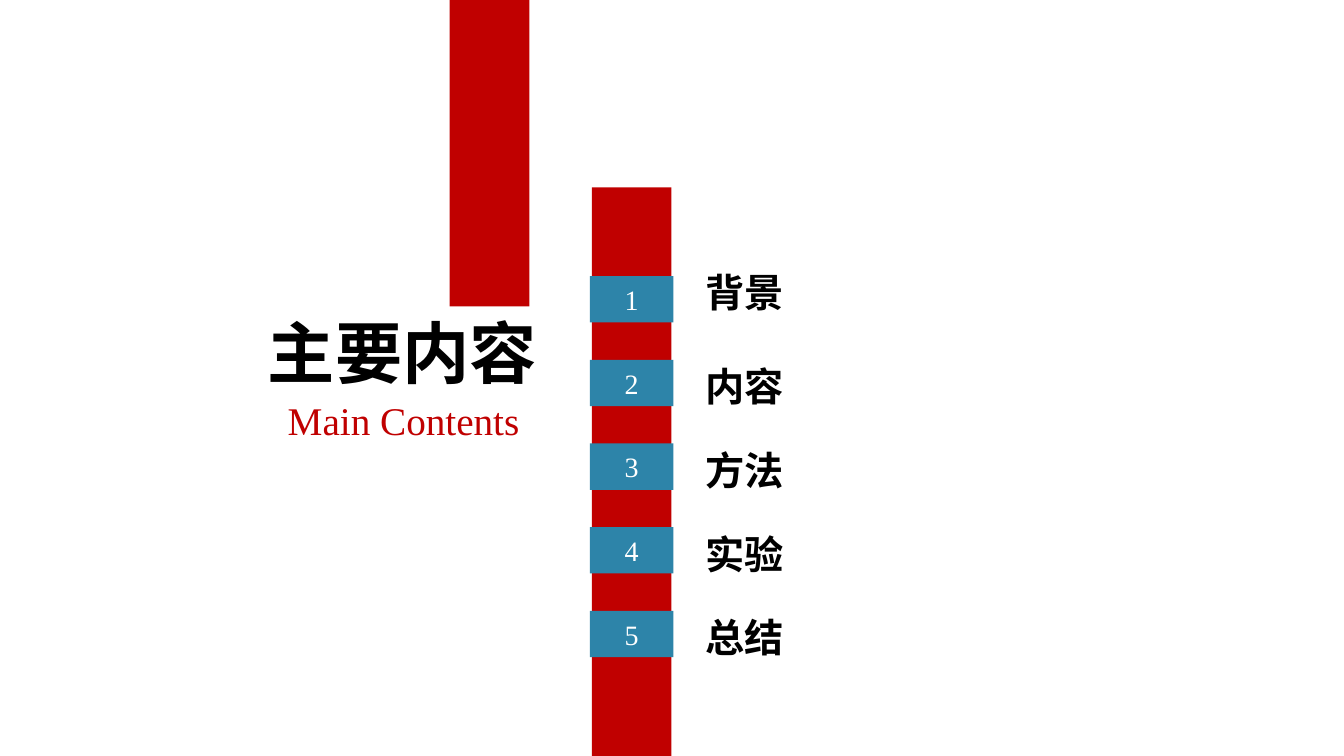
from dataclasses import dataclass

from pptx import Presentation
from pptx import util as u
from pptx.dml.color import RGBColor
from pptx.enum import lang, shapes, text


@dataclass(frozen=True)
class Theme:
    font: str = "Times New Roman"
    red: str = "C00000"
    blue: str = "2D84A9"
    black: str = "000000"
    white: str = "FFFFFF"
    title_size: int = 48
    heading_size: int = 28
    number_size: int = 20


class SlideBuilder:
    def __init__(self, slide, theme):
        self.slide = slide
        self.theme = theme

    def add_run(self, paragraph, words, size, color, bold=False):
        run = paragraph.add_run()
        run.text = words
        run.font.name = self.theme.font
        run.font.size = u.Pt(size)
        run.font.bold = bold
        run.font.color.rgb = RGBColor.from_string(color)
        if not words.isascii():
            run.font.language_id = lang.MSO_LANGUAGE_ID.SIMPLIFIED_CHINESE

    def add_block(self, left, top, width, height, color):
        block = self.slide.shapes.add_shape(
            shapes.MSO_SHAPE.RECTANGLE, *map(u.Inches, (left, top, width, height)))
        block.shadow.inherit = False
        block.fill.solid()
        block.fill.fore_color.rgb = RGBColor.from_string(color)
        block.line.fill.background()
        return block

    def add_badge(self, left, top, width, height, number):
        badge = self.add_block(left, top, width, height, self.theme.blue)
        frame = badge.text_frame
        frame.vertical_anchor = text.MSO_ANCHOR.MIDDLE
        paragraph = frame.paragraphs[0]
        paragraph.alignment = text.PP_ALIGN.CENTER
        self.add_run(paragraph, str(number), self.theme.number_size, self.theme.white)

    def add_text(self, left, top, width, height, words, size, color,
                 bold=False, alignment=text.PP_ALIGN.LEFT):
        box = self.slide.shapes.add_textbox(
            *map(u.Inches, (left, top, width, height)))
        frame = box.text_frame
        frame.word_wrap = True
        frame.auto_size = text.MSO_AUTO_SIZE.SHAPE_TO_FIT_TEXT
        paragraph = frame.paragraphs[0]
        paragraph.alignment = alignment
        self.add_run(paragraph, words, size, color, bold)


def main():
    presentation = Presentation()
    presentation.slide_width = u.Inches(13.33)
    presentation.slide_height = u.Inches(7.5)
    theme = Theme()
    builder = SlideBuilder(
        presentation.slides.add_slide(presentation.slide_layouts[6]), theme)

    builder.add_block(4.46, 0, 0.79, 3.04, theme.red)
    builder.add_block(5.87, 1.86, 0.79, 5.64, theme.red)
    builder.add_text(2.44, 3.04, 3.1, 0.91, "主要内容", theme.title_size,
                     theme.black, bold=True, alignment=text.PP_ALIGN.CENTER)
    builder.add_text(1.85, 3.88, 3.4, 0.57, "Main Contents", theme.heading_size,
                     theme.red, alignment=text.PP_ALIGN.RIGHT)

    first_top, pitch = 2.74, 0.83
    sections = ["背景", "内容", "方法", "实验", "总结"]
    for index, section in enumerate(sections):
        top = first_top + index * pitch
        label_rise = 0.02 if index else 0.13  # the first label sits higher
        builder.add_badge(5.85, top, 0.83, 0.46, index + 1)
        builder.add_text(6.9, top - label_rise, 3.27, 0.57, section,
                         theme.heading_size, theme.black, bold=True)

    presentation.save("out.pptx")


if __name__ == "__main__":
    main()
